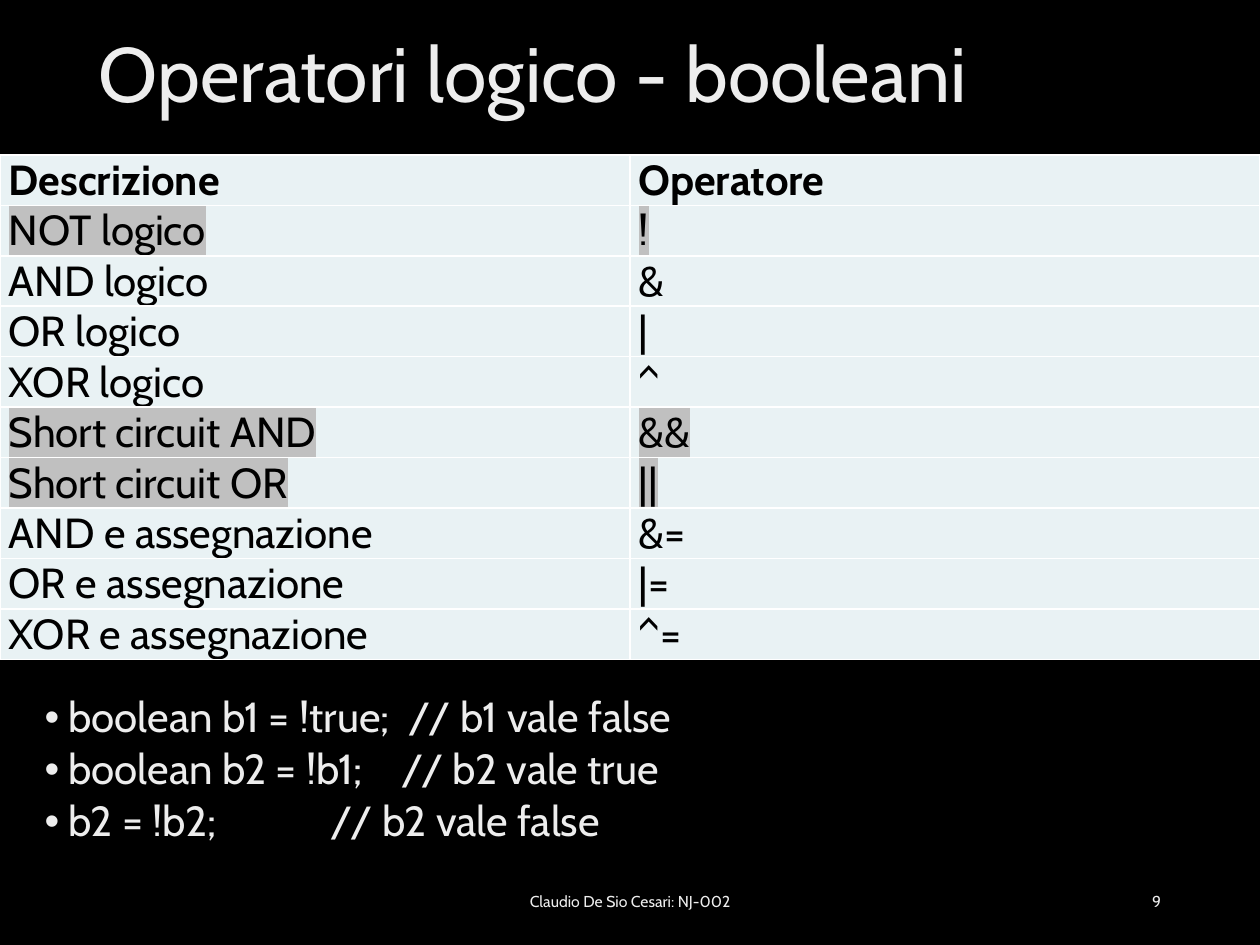
"""Builds a slide on Java boolean operators: a table of operators above three code examples."""
from lxml.etree import SubElement
from pptx import Presentation
from pptx.dml.color import RGBColor
from pptx.enum.text import MSO_ANCHOR, PP_ALIGN
from pptx.oxml import parse_xml
from pptx.oxml.ns import nsdecls, qn
from pptx.util import Pt

FONT = "Cabin"
COLORS = {
    "background": "000000",
    "light": "EDEDED",
    "dark": "000000",
    "cell": "E9F2F4",
    "border": "FFFFFF",
    "highlight": "C0C0C0",
}
HEADER = ("Descrizione", "Operatore")
OPERATORS = [
    ("NOT logico", "!"),
    ("AND logico", "&"),
    ("OR logico", "|"),
    ("XOR logico", "^"),
    ("Short circuit AND", "&&"),
    ("Short circuit OR", "||"),
    ("AND e assegnazione", "&="),
    ("OR e assegnazione", "|="),
    ("XOR e assegnazione", "^="),
]
HIGHLIGHTED = {"!", "&&", "||"}
EXAMPLES = [
    ("boolean b1 = !true;", 5.5, "// b1 vale false"),
    ("boolean b2 = !b1;", 16.5, "// b2 vale true"),
    ("b2 = !b2;", 60, "// b2 vale false"),
]


def color(name):
    return RGBColor.from_string(COLORS[name])


def add_span(para, text, size, color_name="light", bold=False):
    span = para.add_run()
    span.text = text
    span.font.name = FONT
    span.font.size = Pt(size)
    span.font.bold = bold
    span.font.color.rgb = color(color_name)
    return span


def highlight(span):
    mark = parse_xml(
        f'<a:highlight {nsdecls("a")}><a:srgbClr val="{COLORS["highlight"]}"/></a:highlight>'
    )
    span.font._element.find(qn("a:latin")).addprevious(mark)


def add_box(page, left, top, width, height, anchor=MSO_ANCHOR.MIDDLE):
    box = page.shapes.add_textbox(Pt(left), Pt(top), Pt(width), Pt(height))
    box.text_frame.word_wrap = True
    box.text_frame.vertical_anchor = anchor
    return box.text_frame


def add_label(page, place, text, size, align):
    para = add_box(page, *place).paragraphs[0]
    para.alignment = align
    para.line_spacing = 0.9 if size > 40 else 1.0
    add_span(para, text, size)


def fill_cell(cell, text, header):
    cell.margin_left = cell.margin_right = Pt(5)
    cell.margin_top = cell.margin_bottom = Pt(0)
    cell.vertical_anchor = MSO_ANCHOR.MIDDLE if header else MSO_ANCHOR.TOP
    properties = cell._tc.get_or_add_tcPr()
    for side in ("lnL", "lnR", "lnT", "lnB"):
        line = SubElement(properties, qn(f"a:{side}"), w=str(Pt(1)))
        paint = SubElement(line, qn("a:solidFill"))
        SubElement(paint, qn("a:srgbClr"), val=COLORS["border"])
    cell.fill.solid()
    cell.fill.fore_color.rgb = color("cell")
    return add_span(cell.text_frame.paragraphs[0], text, 24, "dark", header)


def add_operator_table(page):
    rows = [HEADER, *OPERATORS]
    frame = page.shapes.add_table(
        len(rows), len(HEADER), Pt(0), Pt(88.5), Pt(720), Pt(28.8 * len(rows))
    )
    table = frame.table
    table.first_row = table.horz_banding = False
    for row_index, row in enumerate(rows):
        for column_index, text in enumerate(row):
            cell = table.cell(row_index, column_index)
            span = fill_cell(cell, text, header=row_index == 0)
            if row[1] in HIGHLIGHTED:
                highlight(span)


def add_examples(page):
    frame = add_box(page, -8.5, 394.5, 679, 134.5, MSO_ANCHOR.TOP)
    for index, (code, gap, remark) in enumerate(EXAMPLES):
        para = frame.add_paragraph() if index else frame.paragraphs[0]
        para.level = 1
        para.line_spacing = 0.9
        para.space_before = Pt(3.8)
        properties = para._p.get_or_add_pPr()
        properties.set("marL", str(Pt(40.5)))
        properties.set("indent", str(Pt(-13.5)))
        SubElement(properties, qn("a:buFont"), typeface="Arial")
        SubElement(properties, qn("a:buChar"), char="•")
        add_span(para, code, 24)
        spacer = add_span(para, " ", 24)
        spacer.font._element.set("spc", str(int(gap * 100)))
        add_span(para, remark, 24)


def main():
    deck = Presentation()
    deck.slide_width, deck.slide_height = Pt(720), Pt(540)
    page = deck.slides.add_slide(deck.slide_layouts[6])
    page.background.fill.solid()
    page.background.fill.fore_color.rgb = color("background")
    add_label(page, (49.5, 0, 621, 88.5), "Operatori logico - booleani", 44, PP_ALIGN.LEFT)
    add_examples(page)
    add_label(page, (238.5, 500.5, 243, 28.75), "Claudio De Sio Cesari: NJ-002", 9, PP_ALIGN.CENTER)
    add_label(page, (508.5, 500.5, 162, 28.75), "9", 9, PP_ALIGN.RIGHT)
    add_operator_table(page)
    deck.save("out.pptx")


if __name__ == "__main__":
    main()
